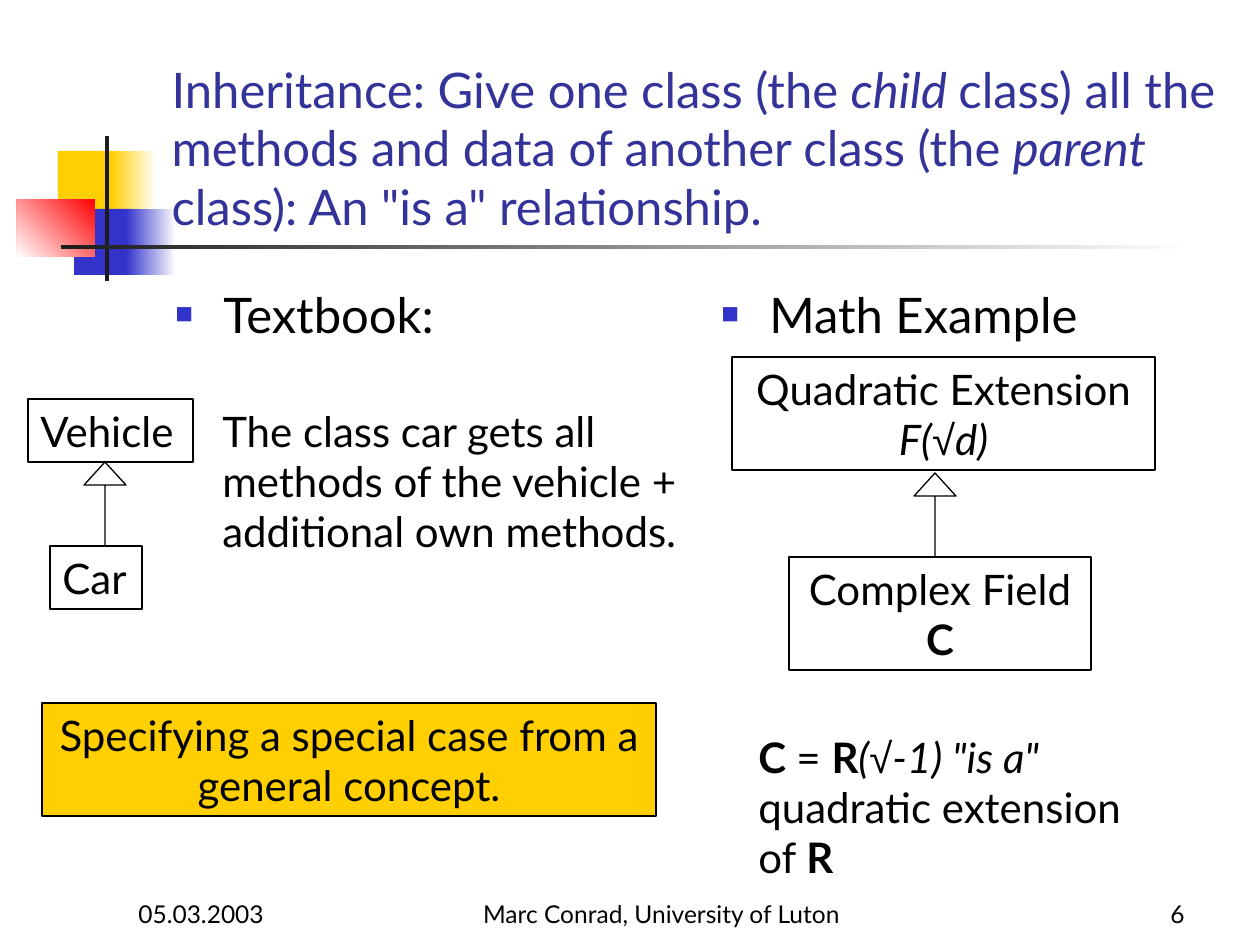
import pptx
import pptx.util
import pptx.dml.color
import pptx.enum.shapes
import pptx.enum.text
import pptx.oxml
import pptx.oxml.ns

RGB = pptx.dml.color.RGBColor
SHAPE = pptx.enum.shapes.MSO_SHAPE
ALIGN = pptx.enum.text.PP_ALIGN
ANCHOR = pptx.enum.text.MSO_ANCHOR
AUTO = pptx.enum.text.MSO_AUTO_SIZE

BLACK = RGB(0, 0, 0)
WHITE = RGB(0xFF, 0xFF, 0xFF)
YELLOW = RGB(0xFF, 0xCF, 0x01)
BLUE = RGB(0x33, 0x33, 0xCC)
RED = RGB(0xFF, 0, 0)
CHARCOAL = RGB(0x1C, 0x1C, 0x1C)
TITLE_BLUE = RGB(0x33, 0x33, 0x99)

SCALE = 914400 / 126  # EMU per px
FONT, SYMBOL_FONT = "Lato", "Arial"
LEFT, CENTER, RIGHT = ALIGN.LEFT, ALIGN.CENTER, ALIGN.RIGHT

# Content: a paragraph is a list of (text, style), style being "", "b" or "i";
# the root sign takes the symbol font
TITLE = [
    ("Inheritance: Give one class (the ", ""), ("child ", "i"),
    ("class) all the methods and data of another class (the ", ""),
    ("parent ", "i"), ("class): An \"is a\" relationship.", ""),
]
TITLE_PLACE = (159, 84, 1074, 158)

# Decoration: place, colours (one, or start and end), angle
DECORATION = [
    ((58, 151, 60, 66), [YELLOW], 0),
    ((111, 151, 45, 66), [WHITE, YELLOW], 180),
    ((74, 209, 58, 66), [BLUE], 0),
    ((126, 209, 50, 66), [WHITE, BLUE], 180),
    ((17, 199, 78, 58), [RED, WHITE], 225),
    ((105, 136, 4, 145), [CHARCOAL], 0),
    ((61, 245, 1134, 4), [WHITE, CHARCOAL], 180),
]

HEADINGS = [
    ((163, 278, 525, 567), "Textbook:"),
    ((709, 278, 525, 567), "Math Example"),
]

# Class boxes: place, alignment, wrap, fill, paragraphs
BOXES = [
    ((28, 399, 165, 63), LEFT, False, None, [[("Vehicle", "")]]),
    ((50, 546, 92, 63), LEFT, False, None, [[("Car", "")]]),
    ((732, 357, 423, 113), CENTER, False, None,
     [[("Quadratic Extension", "")], [("F(", "i"), ("√", "i"), ("d)", "i")]]),
    ((789, 557, 302, 113), CENTER, False, None,
     [[("Complex Field", "")], [("C", "b")]]),
    ((42, 703, 614, 113), CENTER, True, YELLOW,
     [[("Specifying a special case from a general concept.", "")]]),
]

INHERITANCE_ARROWS = [(84, 462, 42, 84), (914, 473, 42, 84)]

EXPLANATIONS = [
    ((210, 399, 504, 214),
     [("The class car gets all methods of the vehicle + additional own methods.", "")]),
    ((746, 725, 420, 164),
     [("C ", "b"), ("= ", ""), ("R", "b"), ("(", "i"), ("√", "i"),
      ("-1) \"is a\" ", "i"), ("quadratic extension of ", ""), ("R", "b")]),
]

FOOTERS = [
    ((126, 872, 262, 63), LEFT, "05.03.2003"),
    ((462, 872, 399, 63), CENTER, "Marc Conrad, University of Luton"),
    ((935, 872, 262, 63), RIGHT, "6"),
]


def emu(place):
    return [round(value * SCALE) for value in place]


def write(frame, paragraphs, size, color=BLACK, align=LEFT,
          anchor=ANCHOR.TOP, wrap=True, grow=False):
    frame.word_wrap = wrap
    frame.auto_size = AUTO.SHAPE_TO_FIT_TEXT if grow else AUTO.NONE
    frame.vertical_anchor = anchor
    for index, runs in enumerate(paragraphs):
        paragraph = frame.add_paragraph() if index else frame.paragraphs[0]
        paragraph.alignment = align
        for text, style in runs:
            run = paragraph.add_run()
            run.text = text
            run.font.name = SYMBOL_FONT if text == "√" else FONT
            run.font.size = pptx.util.Pt(size)
            run.font.color.rgb = color
            run.font.bold = style == "b"
            run.font.italic = style == "i"


def add_plain_shape(slide, kind, place, fill=None, outlined=True):
    shape = slide.shapes.add_shape(kind, *emu(place))
    shape.shadow.inherit = False
    if fill is None:
        shape.fill.background()
    else:
        shape.fill.solid()
        shape.fill.fore_color.rgb = fill
    if outlined:
        shape.line.color.rgb = BLACK
        shape.line.width = pptx.util.Pt(0.75)
    else:
        shape.line.fill.background()
    return shape


def add_square_bullet(paragraph):
    properties = paragraph._p.get_or_add_pPr()
    indent = round(48 * SCALE)
    properties.set("marL", str(indent))
    properties.set("indent", str(-indent))
    for xml in (f'<a:buClr %s><a:srgbClr val="{BLUE}"/></a:buClr>',
                '<a:buSzPct %s val="60000"/>',
                f'<a:buFont %s typeface="{SYMBOL_FONT}"/>',
                '<a:buChar %s char="■"/>'):
        properties.append(pptx.oxml.parse_xml(xml % pptx.oxml.ns.nsdecls("a")))


def main():
    deck = pptx.Presentation()
    deck.slide_width, deck.slide_height = emu((1260, 945))
    slide = deck.slides.add_slide(deck.slide_layouts[5])

    # Title
    title = slide.shapes.title
    title.left, title.top, title.width, title.height = emu(TITLE_PLACE)
    write(title.text_frame, [TITLE], 28, TITLE_BLUE, anchor=ANCHOR.BOTTOM)

    # Coloured squares and rules, kept behind the title
    for place, colors, angle in DECORATION:
        part = add_plain_shape(slide, SHAPE.RECTANGLE, place, colors[0], outlined=False)
        if len(colors) == 2:
            part.fill.gradient()
            part.fill.gradient_angle = angle
            for stop, color, position in zip(part.fill.gradient_stops, colors, (0, 1)):
                stop.color.rgb = color
                stop.position = position
        title._element.addprevious(part._element)

    # Column headings
    for place, text in HEADINGS:
        heading = slide.shapes.add_textbox(*emu(place)).text_frame
        write(heading, [[(text, "")]], 28)
        heading.paragraphs[0].space_before = pptx.util.Pt(7)
        add_square_bullet(heading.paragraphs[0])

    # Class boxes and the summary
    for place, align, wrap, fill, paragraphs in BOXES:
        box = add_plain_shape(slide, SHAPE.RECTANGLE, place, fill)
        write(box.text_frame, paragraphs, 24, align=align, wrap=wrap, grow=True)

    # Arrows from child to parent
    for place in INHERITANCE_ARROWS:
        arrow = add_plain_shape(slide, SHAPE.UP_ARROW, place)
        arrow.adjustments[0] = 0
        arrow.adjustments[1] = 0.55

    # Explanations
    for place, runs in EXPLANATIONS:
        explanation = slide.shapes.add_textbox(*emu(place))
        write(explanation.text_frame, [runs], 24, grow=True)

    # Footer
    for place, align, text in FOOTERS:
        footer = slide.shapes.add_textbox(*emu(place))
        write(footer.text_frame, [[(text, "")]], 14, align=align, anchor=ANCHOR.BOTTOM)

    deck.save("out.pptx")


if __name__ == "__main__":
    main()
